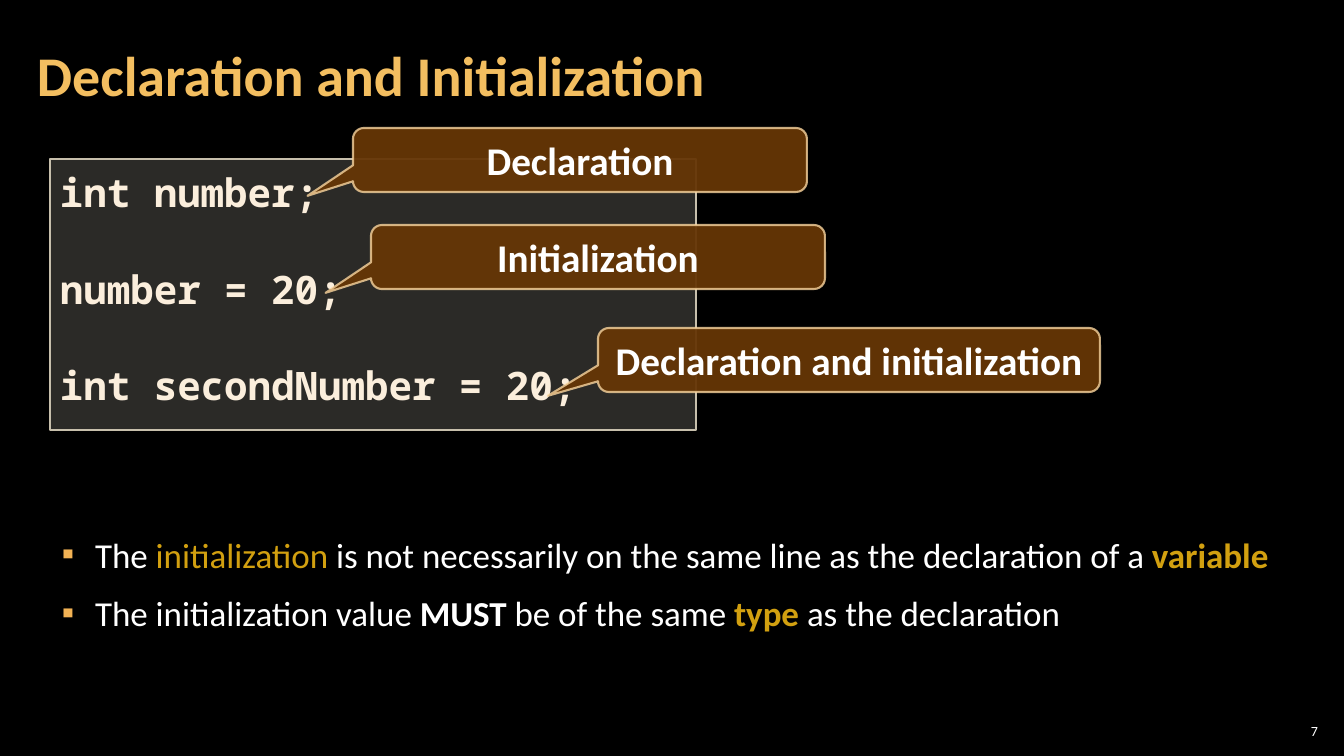
from pptx import Presentation
from pptx.dml.color import RGBColor
from pptx.enum.shapes import MSO_SHAPE
from pptx.enum.text import MSO_ANCHOR, MSO_AUTO_SIZE, PP_ALIGN
from pptx.util import Emu, Pt
from lxml import etree

RECT, CALLOUT = MSO_SHAPE.RECTANGLE, MSO_SHAPE.ROUNDED_RECTANGULAR_CALLOUT
TOP, MIDDLE = MSO_ANCHOR.TOP, MSO_ANCHOR.MIDDLE
LEFT, CENTER, RIGHT = PP_ALIGN.LEFT, PP_ALIGN.CENTER, PP_ALIGN.RIGHT
NO_FIT = MSO_AUTO_SIZE.NONE
PX = 914400 / 100.8
NS = "{http://schemas.openxmlformats.org/drawingml/2006/main}"
WHITE, GOLD = "FFFFFF", "D2A010"


def color(target, value, alpha=100):
    target.rgb = RGBColor.from_string(value)
    if alpha < 100:
        clr = target._xFill.find(f"{NS}srgbClr")
        etree.SubElement(clr, f"{NS}alpha", val=str(alpha * 1000))


def add_run(p, text, size, value, bold=False, font="Calibri"):
    r = p.add_run()
    r.text = text
    r.font.name, r.font.size, r.font.bold = font, Pt(size), bold
    color(r.font.color, value)


prs = Presentation()
prs.slide_width, prs.slide_height = Emu(round(1344 * PX)), Emu(round(756 * PX))
s = prs.slides.add_slide(prs.slide_layouts[1])
s.background.fill.solid()
color(s.background.fill.fore_color, "000000")

title, body = s.shapes.title, s.placeholders[1]
number = s.shapes.add_textbox(0, 0, 0, 0)
frames = [
    (title, (25, 17, 1055, 122), (12, 4), MIDDLE),
    (body, (50, 529, 1264, 134), (12, 4), TOP),
    (number, (1275, 720, 47, 21), (4, 4), MIDDLE),
]
for sp, box, (side, edge), anchor in frames:
    sp.left, sp.top, sp.width, sp.height = [Emu(round(n * PX)) for n in box]
    tf = sp.text_frame
    tf.word_wrap, tf.auto_size, tf.vertical_anchor = True, NO_FIT, anchor
    tf.margin_left = tf.margin_right = Emu(round(side * PX))
    tf.margin_top = tf.margin_bottom = Emu(round(edge * PX))

p = title.text_frame.paragraphs[0]
p.alignment, p.line_spacing = LEFT, 0.9
add_run(p, "Declaration and Initialization", 40, "F3BE60", True)

p = number.text_frame.paragraphs[0]
p.alignment = RIGHT
add_run(p, "7", 10, WHITE)

bullets = [
    [("The ", WHITE, False), ("initialization ", GOLD, False),
     ("is not necessarily on the same line as the declaration of a ", WHITE, False),
     ("variable", GOLD, True)],
    [("The initialization value ", WHITE, False), ("MUST ", WHITE, True),
     ("be of the same ", WHITE, False), ("type", GOLD, True),
     (" as the declaration", WHITE, False)],
]
tf = body.text_frame
for i, runs in enumerate(bullets):
    p = tf.add_paragraph() if i else tf.paragraphs[0]
    p.space_before = p.space_after = Pt(6)
    pPr = p._p.get_or_add_pPr()
    indent = round(33 * PX)
    pPr.set("marL", str(indent))
    pPr.set("indent", str(-indent))
    etree.SubElement(etree.SubElement(pPr, f"{NS}buClr"), f"{NS}srgbClr", val="F2B254")
    etree.SubElement(pPr, f"{NS}buFont", typeface="Calibri")
    etree.SubElement(pPr, f"{NS}buChar", char="▪")
    for text, value, bold in runs:
        add_run(p, text, 25, value, bold)

code = s.shapes.add_shape(RECT, *[Emu(round(n * PX)) for n in (50, 159, 646, 271)])
code.shadow.inherit = False
code.fill.solid()
color(code.fill.fore_color, "D9D5C7", 20)
code.line.width = Pt(1)
color(code.line.color, "C7BFAC")
tf = code.text_frame
tf.word_wrap, tf.vertical_anchor = True, TOP
for i, line in enumerate(["int number;", "number = 20;", "int secondNumber = 20;"]):
    p = tf.add_paragraph() if i else tf.paragraphs[0]
    p.alignment, p.line_spacing = LEFT, 1.1
    p.space_before = Pt(32 if i else 0)
    add_run(p, line, 28, "FBEEDC", True, "Noto Sans Mono")

callouts = [
    ("Declaration", 353, 128, 454),
    ("Initialization", 371, 225, 454),
    ("Declaration and initialization", 598, 328, 502),
]
for text, x, y, w in callouts:
    sp = s.shapes.add_shape(CALLOUT, *[Emu(round(n * PX)) for n in (x, y, w, 64)])
    sp.shadow.inherit = False
    for i, value in enumerate((-0.6, 0.56, 0.17)):
        sp.adjustments[i] = value
    sp.fill.solid()
    color(sp.fill.fore_color, "663606", 95)
    sp.line.width = Pt(1.5)
    color(sp.line.color, "F8D49E", 80)
    tf = sp.text_frame
    tf.word_wrap, tf.vertical_anchor = True, MIDDLE
    p = tf.paragraphs[0]
    p.alignment = CENTER
    add_run(p, text, 28, WHITE, True)

prs.save("out.pptx")
